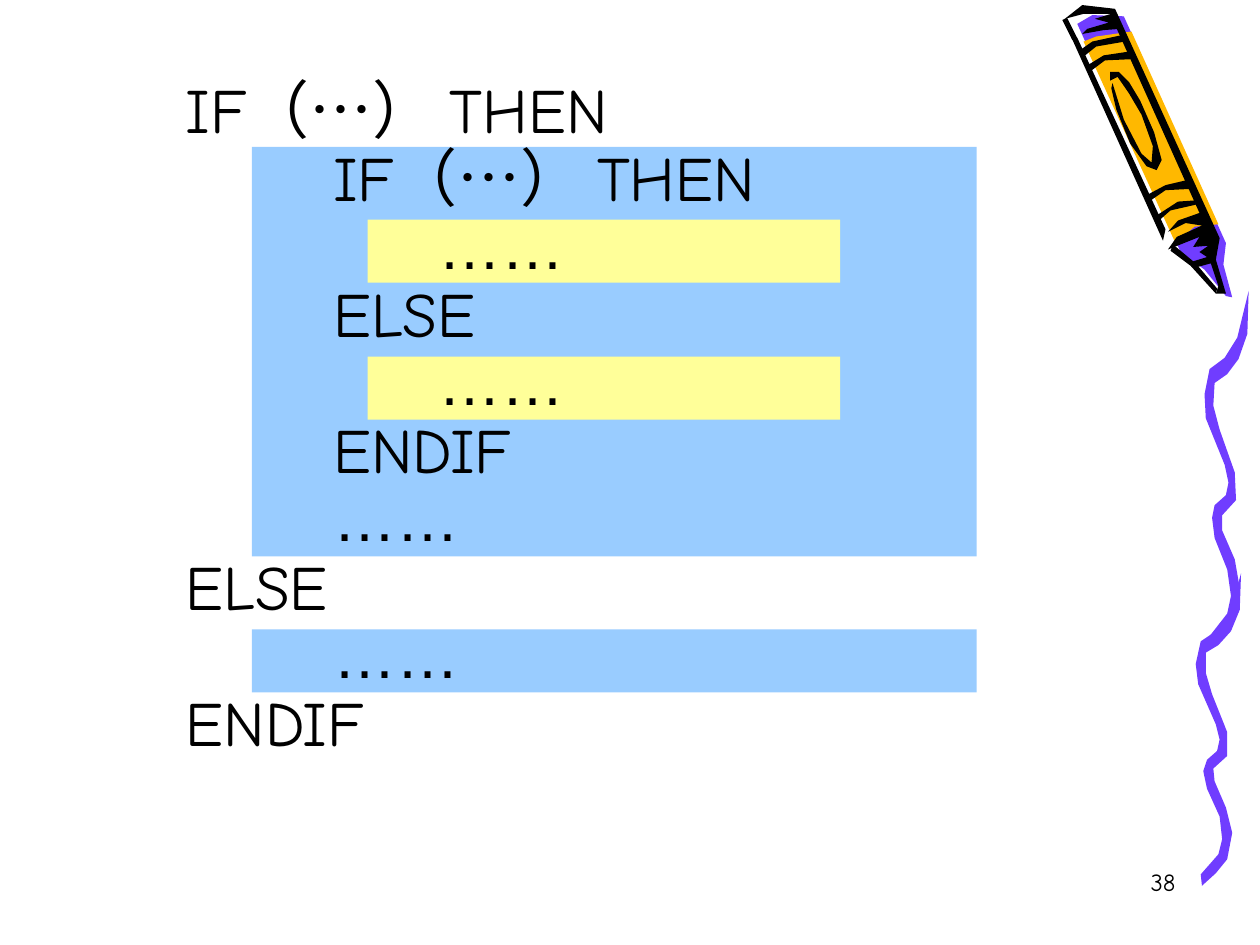
from itertools import groupby

from lxml.etree import SubElement
from pptx import Presentation
from pptx.dml.color import RGBColor
from pptx.enum.shapes import MSO_CONNECTOR, MSO_SHAPE
from pptx.enum.text import MSO_AUTO_SIZE, PP_ALIGN
from pptx.oxml.ns import qn
from pptx.util import Cm, Pt

BLACK = RGBColor(0x00, 0x00, 0x00)
PURPLE = RGBColor(0x70, 0x3D, 0xFF)
ORANGE = RGBColor(0xFF, 0xB8, 0x00)
BLUE = RGBColor(0x99, 0xCC, 0xFF)
YELLOW = RGBColor(0xFF, 0xFF, 0x99)
FONT = "Comic Neue"
DOTS_FONT = "Arial"
UNIT = Cm(0.0254)  # outline points are hundredths of an inch

# Crayon outlines, relative to the crayon box
CRAYON_BODY = [
    (PURPLE, [(55, 19), (137, 200), (156, 214), (173, 235), (178, 236), (171, 210),
              (173, 193), (92, 13), (67, 12)]),
    (ORANGE, [(133, 193), (148, 180), (167, 178), (98, 25), (70, 29), (60, 33)]),
]
CRAYON_INK = [
    # Tip edge
    [(129, 199), (145, 211), (165, 233), (166, 229), (149, 209), (131, 194)],
    # Blunt end
    [(59, 27), (76, 24), (89, 23), (82, 11), (69, 15), (80, 18), (63, 23)],
    # Oval label
    [(82, 70), (86, 87), (97, 114), (110, 132), (118, 135), (122, 127), (116, 105),
     (105, 80), (96, 65), (88, 57), (81, 57), (81, 64), (87, 61), (96, 74), (106, 91),
     (115, 116), (114, 129), (106, 122), (92, 95), (83, 66)],
    # Left edge
    [(50, 29), (123, 191), (125, 182), (55, 30)],
    # Right edge and shaded tip
    [(127, 198), (134, 188), (154, 179), (141, 177), (127, 184), (135, 175), (152, 169),
     (81, 11), (60, 11), (45, 15), (59, 4), (85, 7), (168, 189), (165, 206), (173, 233),
     (165, 233), (167, 227), (161, 209), (150, 212), (145, 208), (158, 204), (152, 200),
     (159, 195), (147, 196), (152, 188)],
    # Rings
    [(121, 174), (129, 167), (151, 162), (149, 159), (135, 160), (118, 171)],
    [(112, 160), (125, 151), (145, 150), (142, 143), (125, 147), (110, 155)],
    [(65, 57), (77, 48), (99, 47), (96, 41), (76, 44), (63, 52)],
    [(60, 45), (70, 37), (93, 33), (90, 28), (67, 33), (57, 40)],
]

# Ribbon outlines, relative to the ribbon box
RIBBONS = [
    [(53, 694), (67, 678), (70, 666), (68, 648), (58, 626), (55, 612), (58, 603),
     (66, 596), (68, 587), (65, 575), (51, 543), (49, 527), (53, 509), (65, 501),
     (76, 487), (85, 455), (84, 484), (77, 501), (67, 512), (57, 518), (57, 534),
     (62, 551), (74, 581), (74, 600), (63, 610), (64, 620), (73, 641), (78, 661),
     (74, 682), (65, 693), (54, 703)],
    [(60, 505), (74, 487), (77, 473), (74, 452), (64, 427), (62, 411), (64, 401),
     (73, 393), (75, 383), (72, 369), (57, 332), (56, 313), (60, 293), (72, 284),
     (82, 268), (91, 231), (90, 265), (83, 285), (74, 297), (64, 304), (63, 322),
     (68, 341), (80, 375), (81, 397), (70, 409), (70, 421), (80, 444), (84, 467),
     (80, 491), (72, 504), (61, 515)],
]

CODE = """IF（…） THEN
       IF（…） THEN
            ……
       ELSE
            ……
       ENDIF
       ……
ELSE
       ……
ENDIF"""

# Bands behind the code: left, top, width, height in cm from the code box
BANDS = [
    (BLUE, 2.54, 1.49, 14.61, 8.26),
    (BLUE, 2.54, 11.22, 14.61, 1.27),
    (YELLOW, 4.87, 5.72, 9.53, 1.27),
    (YELLOW, 4.87, 2.96, 9.53, 1.27),
]


def paint(shape, color):
    shape.shadow.inherit = False
    shape.fill.solid()
    shape.fill.fore_color.rgb = color
    shape.line.fill.background()


def add_outline(slide, left, top, points, color):
    builder = slide.shapes.build_freeform(*points[0], scale=UNIT)
    builder.add_line_segments(points[1:], close=True)
    paint(builder.convert_to_shape(left, top), color)


def add_crayon(slide, left, top):
    for color, points in CRAYON_BODY:
        add_outline(slide, left, top, points, color)
    for points in CRAYON_INK:
        add_outline(slide, left, top, points, BLACK)
    edge = slide.shapes.add_connector(
        MSO_CONNECTOR.STRAIGHT, left + 45 * UNIT, top + 15 * UNIT,
        left + 53 * UNIT, top + 31 * UNIT)
    edge.line.color.rgb = BLACK
    edge.line.width = Pt(3)
    SubElement(edge._element.spPr, qn("a:effectLst"))


def add_ribbon(slide, left, top):
    for points in RIBBONS:
        add_outline(slide, left, top, points, PURPLE)


def add_code(slide, body, left, top, width, height):
    # Bands go behind the text
    for color, *lengths in BANDS:
        x, y, band_width, band_height = map(Cm, lengths)
        band = slide.shapes.add_shape(
            MSO_SHAPE.RECTANGLE, left + x, top + y, band_width, band_height)
        paint(band, color)
        body._element.addprevious(band._element)

    # Code lines, with the dots in their own font
    body.left, body.top, body.width, body.height = left, top, width, height
    text_frame = body.text_frame
    text_frame.auto_size = MSO_AUTO_SIZE.NONE
    for index, line in enumerate(CODE.splitlines()):
        paragraph = text_frame.add_paragraph() if index else text_frame.paragraphs[0]
        paragraph.line_spacing = 0.9
        paragraph.space_before = Pt(0)
        properties = paragraph._p.get_or_add_pPr()
        properties.set("marL", str(Cm(0.95)))
        properties.set("indent", "0")
        SubElement(properties, qn("a:buNone"))
        for is_dots, characters in groupby(line, lambda character: character == "…"):
            run = paragraph.add_run()
            run.text = "".join(characters)
            run.font.name = DOTS_FONT if is_dots else FONT
            run.font.size = Pt(36)
            run.font.color.rgb = BLACK


def add_page_number(slide, left, top, width, height):
    box = slide.shapes.add_textbox(left, top, width, height)
    box.text_frame.word_wrap = True
    paragraph = box.text_frame.paragraphs[0]
    paragraph.text = "38"
    paragraph.alignment = PP_ALIGN.RIGHT
    font = paragraph.runs[0].font
    font.name, font.size = FONT, Pt(14)
    font.color.rgb = BLACK


def main():
    presentation = Presentation()
    presentation.slide_width, presentation.slide_height = Cm(25.4), Cm(19.05)
    slide = presentation.slides.add_slide(presentation.slide_layouts[1])
    title, body = slide.placeholders
    title._element.getparent().remove(title._element)

    add_crayon(slide, Cm(20.32), Cm(0))
    add_ribbon(slide, Cm(22.86), Cm(0))
    add_code(slide, body, Cm(2.54), Cm(1.47), Cm(18.21), Cm(15.44))
    add_page_number(slide, Cm(18.67), Cm(17.35), Cm(5.28), Cm(1.27))
    presentation.save("out.pptx")


if __name__ == "__main__":
    main()
